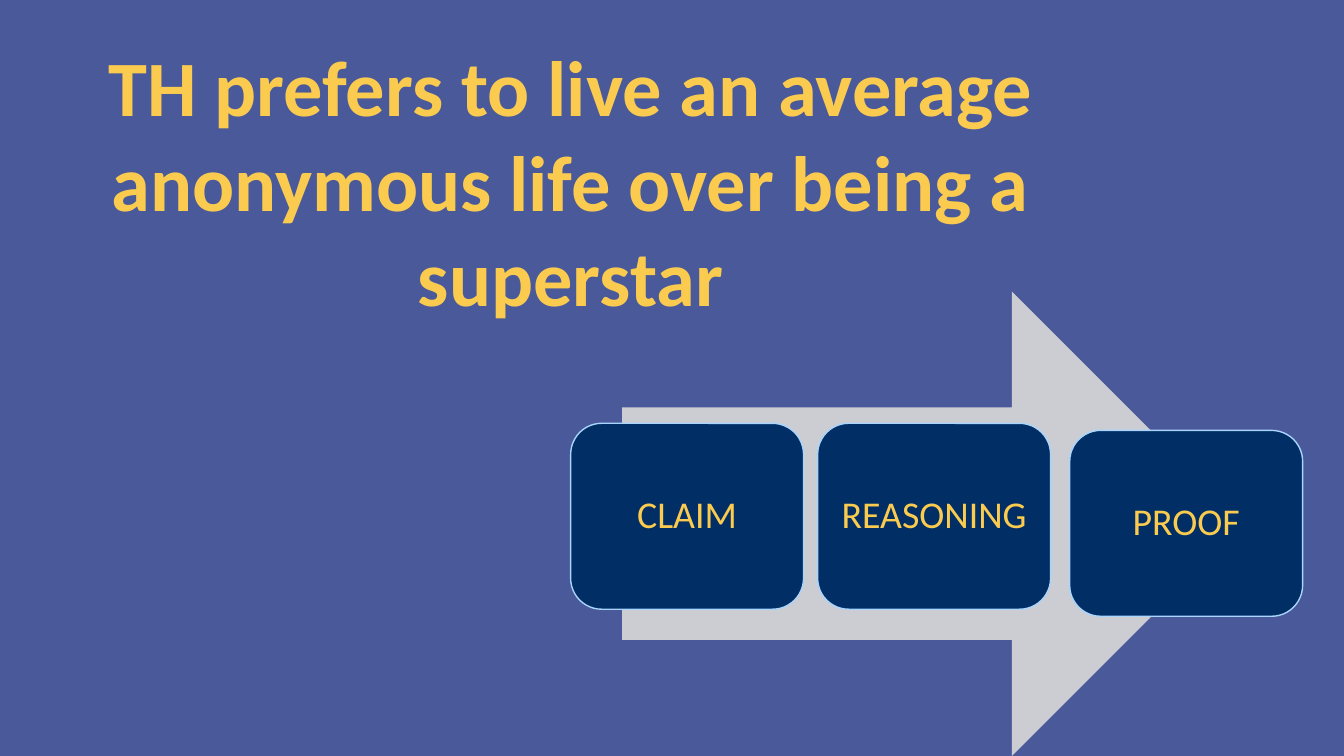
from pptx import Presentation
from pptx.dml.color import RGBColor
from pptx.enum.shapes import MSO_SHAPE
from pptx.enum.text import MSO_ANCHOR, PP_ALIGN
from pptx.util import Inches, Pt

ARROW = MSO_SHAPE.RIGHT_ARROW
ROUND = MSO_SHAPE.ROUNDED_RECTANGLE
CENTER = PP_ALIGN.CENTER
MIDDLE = MSO_ANCHOR.MIDDLE
BOTTOM = MSO_ANCHOR.BOTTOM

BLUE = RGBColor(0x49, 0x59, 0x99)
NAVY = RGBColor(0x00, 0x2E, 0x65)
SKY = RGBColor(0xA9, 0xD5, 0xFC)
GRAY = RGBColor(0xCC, 0xCD, 0xD3)
GOLD = RGBColor(0xFB, 0xCB, 0x50)

STEPS = [("CLAIM", 0, 0), ("REASONING", 2.45, 0), ("PROOF", 4.95, 0.07)]


def write(shape, text, size, space, anchor, inset, bold=False):
    """Put one centred gold line of text in a shape."""
    frame = shape.text_frame
    frame.word_wrap = True
    frame.vertical_anchor = anchor
    frame.margin_left = frame.margin_right = Inches(inset)
    frame.margin_top = frame.margin_bottom = Inches(inset)
    para = frame.paragraphs[0]
    para.alignment = CENTER
    para.line_spacing = space
    run = para.add_run()
    run.text = text
    run.font.name = "Calibri"
    run.font.size = Pt(size)
    run.font.bold = bold
    run.font.color.rgb = GOLD


def add_shape(slide, kind, left, top, width, height, fill):
    """Add a flat filled shape without an outline."""
    shape = slide.shapes.add_shape(
        kind, Inches(left), Inches(top), Inches(width), Inches(height))
    shape.shadow.inherit = False
    shape.fill.solid()
    shape.fill.fore_color.rgb = fill
    shape.line.fill.background()
    return shape


def add_title(slide, left, top, width, height):
    """Add the motion as a bold title."""
    box = slide.shapes.add_textbox(
        Inches(left), Inches(top), Inches(width), Inches(height))
    write(box, "TH prefers to live an average anonymous life over being a superstar",
          56, Pt(68), BOTTOM, 0, True)


def add_steps(slide, left, top, width, height):
    """Add the arrow and the three argument cards lying on it."""
    add_shape(slide, ARROW, left, top, width, height, GRAY)
    for text, right, down in STEPS:
        card = add_shape(slide, ROUND, left - 0.51 + right, top + 1.31 + down,
                         2.31, height * 0.4, NAVY)
        card.line.color.rgb = SKY
        card.line.width = Pt(1)
        write(card, text, 27, 0.9, MIDDLE, 0.11)


def main():
    """Build and save the slide."""
    deck = Presentation()
    deck.slide_width = Inches(13.33)
    deck.slide_height = Inches(7.5)
    slide = deck.slides.add_slide(deck.slide_layouts[6])
    slide.background.fill.solid()
    slide.background.fill.fore_color.rgb = BLUE
    add_title(slide, -0.15, -0.45, 11.62, 3.65)
    add_steps(slide, 6.17, 2.89, 6.17, 4.61)
    deck.save("out.pptx")


if __name__ == "__main__":
    main()
